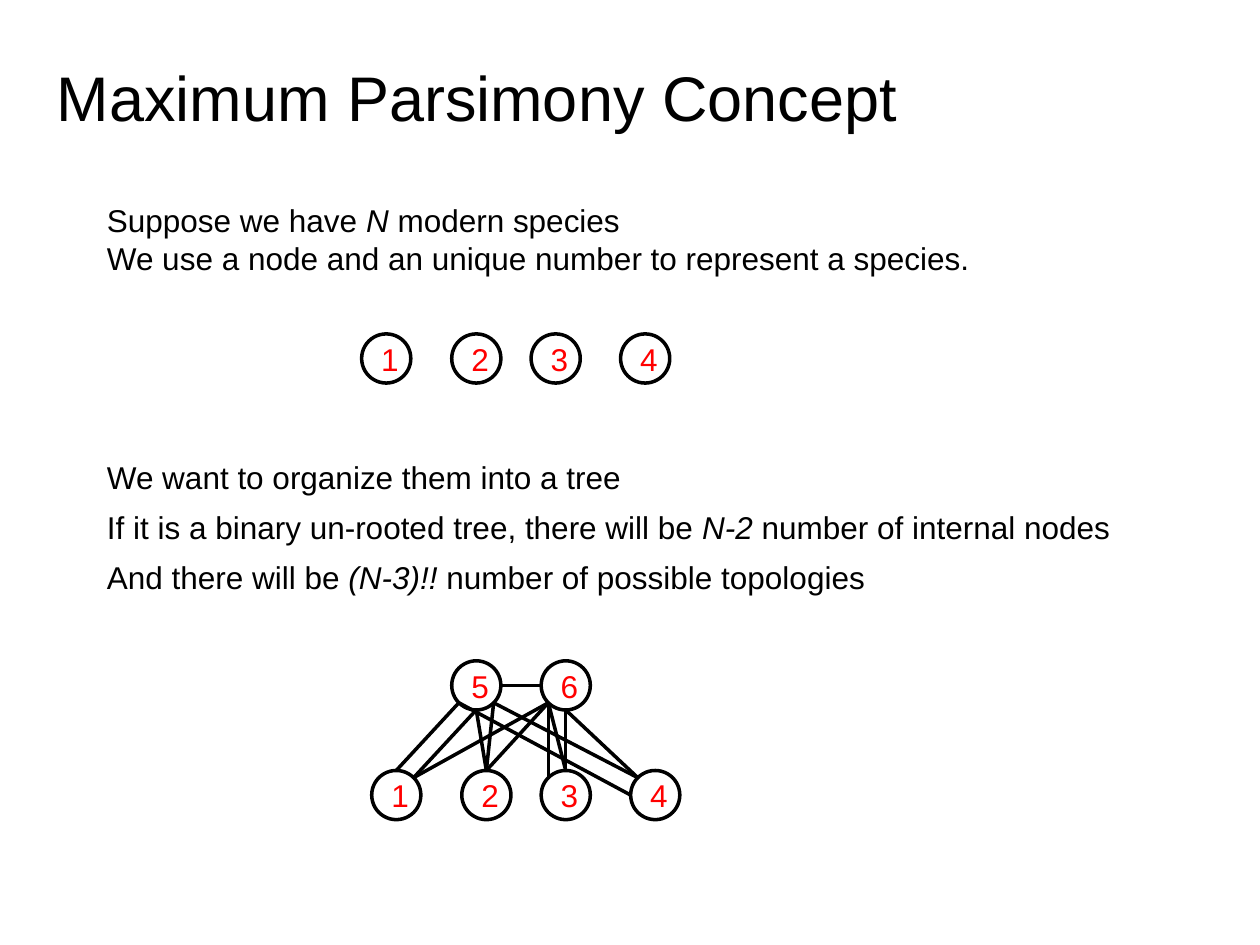
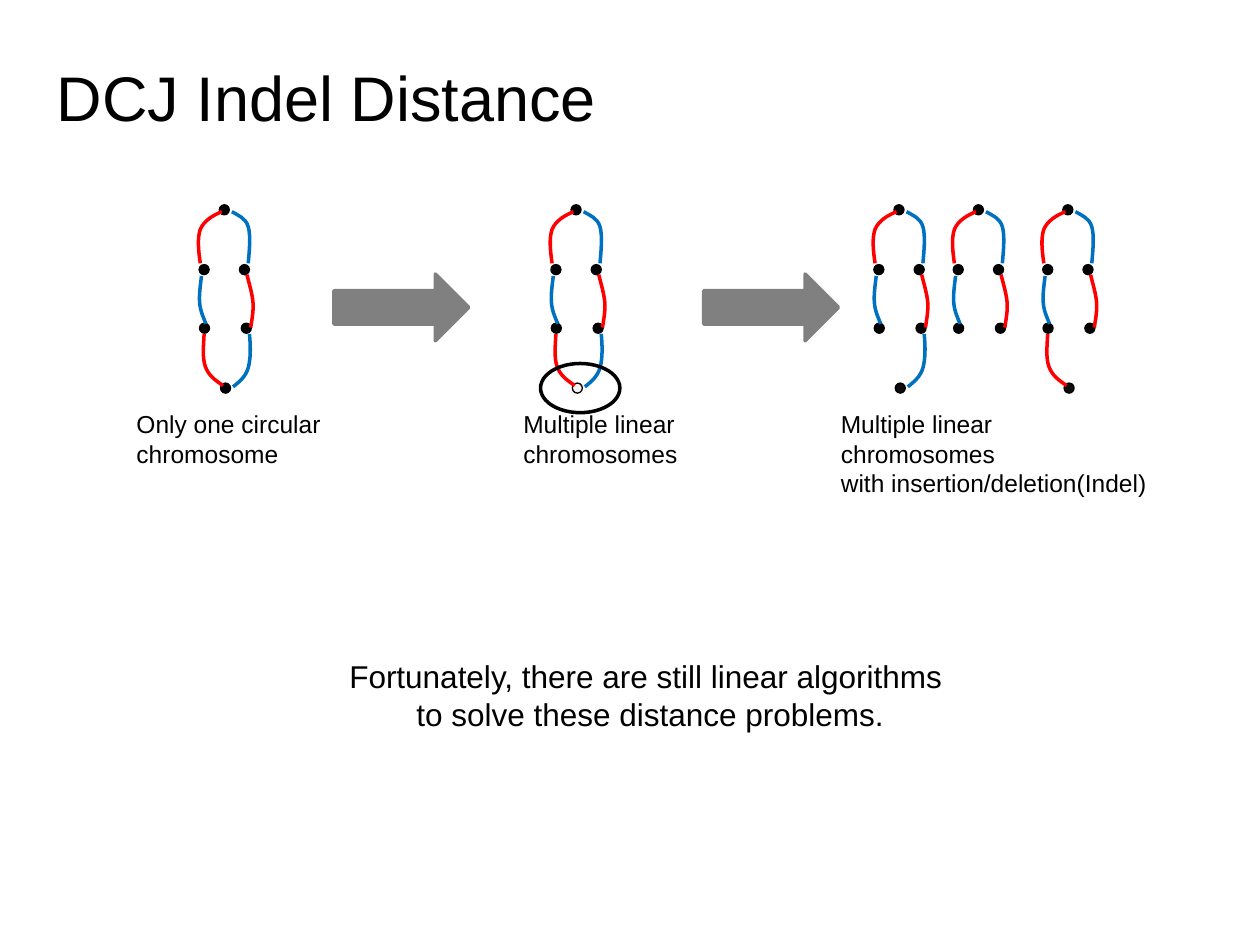
"""Build two slides: the maximum parsimony tree and the DCJ indel distance."""
import math
from dataclasses import dataclass

import lxml.etree
import pptx
import pptx.dml.color
import pptx.enum.shapes
import pptx.enum.text
import pptx.oxml.ns
import pptx.util


@dataclass(frozen=True)
class Theme:
    font: str = "Arial"
    black: str = "000000"
    near: str = "0D0D0D"
    pale: str = "F2F2F2"
    gray: str = "808080"
    red: str = "FF0000"
    blue: str = "0070C0"
    title: int = 36
    body: int = 18
    label: int = 14
    thick: float = 2
    link: float = 1.75
    thin: float = 0.75


theme = Theme()
kinds = pptx.enum.shapes.MSO_SHAPE
left = pptx.enum.text.PP_ALIGN.LEFT
center = pptx.enum.text.PP_ALIGN.CENTER
color = pptx.dml.color.RGBColor.from_string
tag = pptx.oxml.ns.qn


def write(frame, lines, size, ink=theme.black, align=left):
    for i, line in enumerate(lines):
        para = frame.paragraphs[0] if i == 0 else frame.add_paragraph()
        para.alignment = align
        for j, part in enumerate(line.split("*")):
            run = para.add_run()
            run.text = part
            run.font.name = theme.font
            run.font.size = pptx.util.Pt(size)
            run.font.italic = j % 2 == 1
            run.font.color.rgb = color(ink)


def dress(shape, fill=None, ink=theme.black, width=theme.thick):
    shape.shadow.inherit = False
    if fill:
        shape.fill.solid()
        shape.fill.fore_color.rgb = color(fill)
    else:
        shape.fill.background()
    shape.line.color.rgb = color(ink)
    shape.line.width = pptx.util.Pt(width)


deck = pptx.Presentation()
deck.slide_width = pptx.util.Inches(10)
deck.slide_height = pptx.util.Inches(7.5)
cell = deck.slide_width // 100

slides = []
for name in ("Maximum Parsimony Concept", "DCJ Indel Distance"):
    slide = deck.slides.add_slide(deck.slide_layouts[5])
    title = slide.shapes.title
    title.left, title.top, title.width, title.height = (round(v * cell) for v in (3.5, 3.5, 90, 8.3))
    title.text_frame.vertical_anchor = pptx.enum.text.MSO_ANCHOR.MIDDLE
    write(title.text_frame, [name], theme.title)
    slides.append(slide)
tree, dcj = (slide.shapes for slide in slides)

size = 3.9
base = [(1, 29.5), (2, 36.65), (3, 42.95), (4, 50.05)]
nodes = [(n, x - 0.8, 26.5) for n, x in base]
nodes += [(n, x, 61.15) for n, x in base]
nodes += [(5, 35.85, 52.45), (6, 42.95, 52.45)]
spots = {}
for n, x, y in nodes:
    node = tree.add_shape(kinds.OVAL, *(round(v * cell) for v in (x, y, size, size)))
    dress(node)
    write(node.text_frame, [str(n)], theme.body, theme.red, center)
    spots[n] = x + size / 2, y + size / 2

east, se, south, sw, west, nw, north, ne = (i * math.pi / 4 for i in range(8))
links = [
    (5, east, 6, west), (1, ne, 5, south), (2, north, 5, south),
    (3, north, 6, south), (6, south, 4, nw), (1, ne, 6, sw),
    (6, sw, 3, north), (5, se, 4, nw), (5, se, 2, north),
    (2, north, 6, sw), (6, sw, 3, nw), (1, north, 5, sw), (5, sw, 4, west),
]
for a, turn, b, bend in links:
    ends = []
    for n, angle in ((a, turn), (b, bend)):
        x, y = spots[n]
        ends += [x + size / 2 * math.cos(angle), y + size / 2 * math.sin(angle)]
    edge = tree.add_connector(pptx.enum.shapes.MSO_CONNECTOR.STRAIGHT, *(round(v * cell) for v in ends))
    edge.line.color.rgb = color(theme.black)
    edge.line.width = pptx.util.Pt(theme.link if turn == east else theme.thick)
    lxml.etree.SubElement(edge._element.spPr, tag("a:effectLst"))

dots = [(0, 21), (0.03, 25.65), (3.35, 25.65), (3.2, 21), (1.6, 16.25)]
foot = (1.7, 30.4)
strands = {
    "a": (theme.red, [(1.8, 16.8), (1.1, 17.1), (0.4, 17.5), (0.1, 18.2), (-0.15, 18.9), (-0.05, 19.9), (0.1, 20.9)]),
    "b": (theme.blue, [(0.2, 21.9), (0.1, 22.7), (0, 23.4), (0.05, 24), (0.1, 24.7), (0.35, 25.2), (0.55, 25.7)]),
    "c": (theme.red, [(0.4, 26.5), (0.35, 27.5), (0.25, 28.4), (0.5, 29.1), (0.75, 29.8), (1.3, 30.2), (1.9, 30.6)]),
    "d": (theme.red, [(3.8, 21.8), (4, 22.6), (4.22, 23.3), (4.28, 24), (4.33, 24.7), (4.2, 25.3), (4.1, 26)]),
    "e": (theme.blue, [(2.6, 16.8), (3.1, 17.1), (3.7, 17.3), (3.9, 18), (4.1, 18.7), (4, 19.8), (3.9, 20.9)]),
    "f": (theme.blue, [(4, 26.5), (4.1, 27.5), (4.1, 28.5), (3.9, 29.2), (3.7, 29.9), (3.2, 30.3), (2.7, 30.7)]),
}
groups = [dcj.add_group_shape().shapes for _ in range(3)]
rings = [
    (groups[0], 15.8, "abcdef", theme.black),
    (groups[1], 43.72, "abcdef", theme.pale),
    (groups[2], 69.35, "abdef", theme.near),
    (groups[2], 75.65, "abde", None),
    (groups[2], 82.75, "abcde", theme.near),
]
for group, x, keys, tint in rings:
    marks = [(dot, theme.black) for dot in dots]
    if tint:
        marks.append((foot, tint))
    for (dx, y), fill in marks:
        dot = group.add_shape(kinds.OVAL, *(round(v * cell) for v in (x + dx, y, 0.8, 0.8)))
        dress(dot, fill, width=theme.thin)
    for key in keys:
        ink, knots = strands[key]
        spans = [(round((x + dx) * cell), round(y * cell)) for dx, y in knots]
        pen = group.build_freeform(*spans[0])
        pen.add_line_segments(spans[1:], close=False)
        curve = pen.convert_to_shape()
        dress(curve, ink=ink)
        legs = list(curve._element.spPr.iter(tag("a:lnTo")))
        for i in range(0, len(legs), 3):
            bow = lxml.etree.Element(tag("a:cubicBezTo"))
            legs[i].addprevious(bow)
            for leg in legs[i:i + 3]:
                bow.append(leg[0])
                leg.getparent().remove(leg)

for x in (26.5, 55.85):
    arrow = dcj.add_shape(kinds.RIGHT_ARROW, *(round(v * cell) for v in (x, 21.75, 10.7, 5.3)))
    dress(arrow, theme.gray, theme.gray)
halo = dcj.add_shape(kinds.OVAL, *(round(v * cell) for v in (42.9, 28.85, 6.3, 3.9)))
dress(halo)

notes = [
    (tree, (7.5, 15.45, 71.1, 7.1), theme.body, left,
     ["Suppose we have *N *modern species", "We use a node and an unique number to represent a species."]),
    (tree, (7.5, 35.85, 43.2, 4), theme.body, left, ["We want to organize them into a tree"]),
    (tree, (7.5, 39.85, 83.1, 4), theme.body, left,
     ["If it is a binary un-rooted tree, there will be *N-2* number of internal nodes"]),
    (tree, (7.5, 43.8, 62.7, 4), theme.body, left,
     ["And there will be *(N-3)!! *number of possible topologies"]),
    (groups[0], (9.85, 32, 16.7, 5.7), theme.label, left, ["Only one circular", "chromosome"]),
    (groups[1], (40.55, 32, 14.6, 5.7), theme.label, left, ["Multiple linear", "chromosomes"]),
    (groups[2], (65.75, 32, 26.4, 8.1), theme.label, left,
     ["Multiple linear", "chromosomes", "with insertion/deletion(Indel)"]),
    (dcj, (26.5, 51.65, 50.2, 7.1), theme.body, center,
     ["Fortunately, there are still linear algorithms ", "to solve these distance problems."]),
]
for home, area, points, align, lines in notes:
    note = home.add_textbox(*(round(v * cell) for v in area)).text_frame
    note.word_wrap = False
    note.auto_size = pptx.enum.text.MSO_AUTO_SIZE.SHAPE_TO_FIT_TEXT
    write(note, lines, points, align=align)

deck.save("out.pptx")
